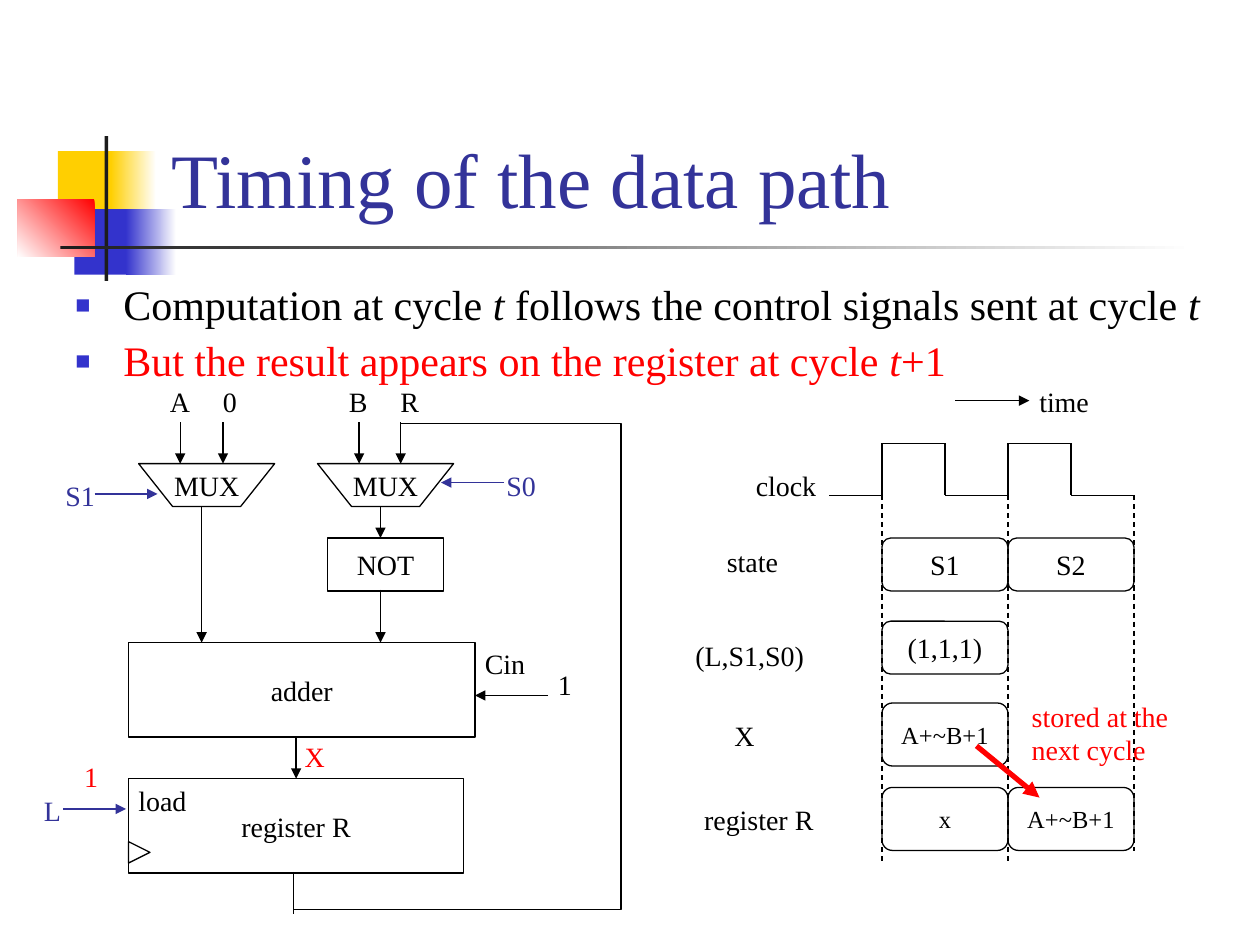
"""Build the slide on the timing of the data path."""
from dataclasses import dataclass

from lxml.etree import SubElement
from pptx import Presentation
from pptx.dml.color import RGBColor
from pptx.enum.dml import MSO_LINE
from pptx.enum.shapes import MSO_CONNECTOR as CONNECTOR, MSO_SHAPE as SHAPE
from pptx.enum.text import MSO_ANCHOR as ANCHOR, MSO_AUTO_SIZE as AUTO_SIZE, PP_ALIGN as ALIGN
from pptx.oxml.ns import qn
from pptx.util import Inches, Pt


@dataclass(frozen=True)
class Theme:
    font: str = "Times New Roman"
    black: RGBColor = RGBColor(0, 0, 0)
    white: RGBColor = RGBColor(255, 255, 255)
    navy: RGBColor = RGBColor(0x33, 0x33, 0x99)
    blue: RGBColor = RGBColor(0x33, 0x33, 0xCC)
    red: RGBColor = RGBColor(255, 0, 0)
    yellow: RGBColor = RGBColor(0xFF, 0xCF, 0x01)
    charcoal: RGBColor = RGBColor(0x1C, 0x1C, 0x1C)
    title: int = 44
    body: int = 24
    label: int = 16
    small: int = 14
    thin: float = 0.75
    thick: float = 3


theme = Theme()
presentation = Presentation()
presentation.slide_width, presentation.slide_height = Inches(10), Inches(7.5)
slide = presentation.slides.add_slide(presentation.slide_layouts[6])
shapes = slide.shapes


def add_run(paragraph, text, size, color, italic=False):
    run = paragraph.add_run()
    run.text = text
    run.font.name, run.font.size, run.font.italic = theme.font, Pt(size), italic
    run.font.color.rgb = color


def add_line(start, end, color=theme.black, width=theme.thin, arrow=True, dash=None,
             kind=CONNECTOR.STRAIGHT):
    connector = shapes.add_connector(kind, *map(Inches, start + end))
    connector.line.color.rgb, connector.line.width = color, Pt(width)
    if dash:
        connector.line.dash_style = dash
    if arrow:
        SubElement(connector.line._get_or_add_ln(), qn("a:tailEnd"), type="triangle")
    SubElement(connector._element.spPr, qn("a:effectLst"))
    return connector


decorations = [
    (0.46, 1.2, 0.48, 0.52, theme.yellow, None),
    (0.88, 1.2, 0.36, 0.52, theme.yellow, 0),
    (0.59, 1.66, 0.46, 0.52, theme.blue, None),
    (1, 1.66, 0.4, 0.52, theme.blue, 0),
    (0.14, 1.58, 0.61, 0.46, theme.red, 225),
    (0.83, 1.08, 0.03, 1.15, theme.charcoal, None),
    (0.48, 1.95, 9, 0.03, theme.charcoal, 0),
]
for left, top, width, height, color, angle in decorations:
    shape = shapes.add_shape(SHAPE.RECTANGLE, *map(Inches, (left, top, width, height)))
    shape.shadow.inherit = False
    shape.line.fill.background()
    if angle is None:
        shape.fill.solid()
        shape.fill.fore_color.rgb = color
    else:
        shape.fill.gradient()
        shape.fill.gradient_angle = angle
        for stop, stop_color in zip(shape.fill.gradient_stops, (color, theme.white)):
            stop.color.rgb = stop_color

title = shapes.add_textbox(Inches(1.26), Inches(0.23), Inches(8.52), Inches(1.6)).text_frame
title.word_wrap, title.vertical_anchor = True, ANCHOR.BOTTOM
add_run(title.paragraphs[0], "Timing of the data path", theme.title, theme.navy)

body = shapes.add_textbox(Inches(0.5), Inches(2.21), Inches(9.29), Inches(0.96)).text_frame
body.word_wrap = True
bullets = [
    (theme.black, ["Computation at cycle ", "t", " follows the control signals sent at cycle ", "t"]),
    (theme.red, ["But the result appears on the register at cycle ", "t", "+1"]),
]
for index, (color, texts) in enumerate(bullets):
    paragraph = body.add_paragraph() if index else body.paragraphs[0]
    paragraph.line_spacing = 0.9
    paragraph.space_before = Pt(6 * index)
    properties = paragraph._p.get_or_add_pPr()
    properties.set("marL", str(Inches(0.38)))
    properties.set("indent", str(Inches(-0.38)))
    bullet_color = SubElement(properties, qn("a:buClr"))
    SubElement(bullet_color, qn("a:srgbClr"), val=str(theme.blue))
    SubElement(properties, qn("a:buSzPct"), val="60000")
    SubElement(properties, qn("a:buFont"), typeface=theme.font)
    SubElement(properties, qn("a:buChar"), char="■")
    for text in texts:
        add_run(paragraph, text, theme.body, color, italic=text == "t")

boxes = []
for left in (1.1, 2.52):
    outline = [(left, 3.68), (left + 1.08, 3.68), (left + 0.81, 4.02), (left + 0.27, 4.02)]
    points = [(Inches(x), Inches(y)) for x, y in outline]
    builder = shapes.build_freeform(*points[0])
    builder.add_line_segments(points[1:], close=True)
    boxes.append((builder.convert_to_shape(), "MUX", theme.label))

blocks = [
    (SHAPE.RECTANGLE, 2.6, 4.27, 0.92, 0.42, "NOT", theme.label),
    (SHAPE.RECTANGLE, 1.02, 5.1, 2.75, 0.75, "adder", theme.label),
    (SHAPE.ROUNDED_RECTANGLE, 7, 4.27, 1, 0.42, "S1", theme.label),
    (SHAPE.ROUNDED_RECTANGLE, 8, 4.27, 1, 0.42, "S2", theme.label),
    (SHAPE.ROUNDED_RECTANGLE, 7, 4.93, 1, 0.42, "(1,1,1)", theme.label),
    (SHAPE.ROUNDED_RECTANGLE, 7, 5.58, 1, 0.5, "A+~B+1", theme.small),
    (SHAPE.ROUNDED_RECTANGLE, 7, 6.25, 1, 0.5, "x", theme.small),
    (SHAPE.ROUNDED_RECTANGLE, 8, 6.25, 1, 0.5, "A+~B+1", theme.small),
    (SHAPE.ISOSCELES_TRIANGLE, 1.02, 6.68, 0.17, 0.17, "", theme.label),
    (SHAPE.RECTANGLE, 1.02, 6.18, 2.66, 0.75, "register R", theme.label),
]
for kind, left, top, width, height, text, size in blocks:
    block = shapes.add_shape(kind, *map(Inches, (left, top, width, height)))
    block.rotation = 90 if kind == SHAPE.ISOSCELES_TRIANGLE else 0
    boxes.append((block, text, size))
register = boxes[-1][0]

for box, text, size in boxes:
    box.shadow.inherit = False
    box.fill.background()
    box.line.color.rgb, box.line.width = theme.black, Pt(theme.thin)
    frame = box.text_frame
    frame.word_wrap, frame.vertical_anchor = False, ANCHOR.MIDDLE
    frame.paragraphs[0].alignment = ALIGN.CENTER
    if text:
        add_run(frame.paragraphs[0], text, size, theme.black)

for x, top, bottom in [(1.43, 3.35, 3.68), (1.77, 3.35, 3.68), (2.85, 3.35, 3.68),
                       (3.18, 3.35, 3.68), (1.6, 4.02, 5.1), (3.02, 4.02, 4.27),
                       (3.02, 4.68, 5.1)]:
    add_line((x, top), (x, bottom))
add_line((2.35, 5.85), (2.35, 6.18)).end_connect(register, 0)
add_line((4.35, 5.52), (3.77, 5.52))
add_line((7.58, 3.18), (8.17, 3.18))
for start, end, y in [(0.5, 1, 6.42), (0.75, 1.25, 3.92), (4, 3.5, 3.83)]:
    add_line((start, y), (end, y), theme.navy)

add_line((2.33, 6.92), (2.33, 7.25), arrow=False)
feedback = add_line((3.18, 3.36), (2.33, 7.22), arrow=False, kind=CONNECTOR.ELBOW)
adjustments = feedback._element.spPr.find(qn("a:prstGeom")).get_or_add_avLst()
bend = round((3.18 - 4.93) / (3.18 - 2.33) * 100000)
SubElement(adjustments, qn("a:gd"), name="adj1", fmla=f"val {bend}")

low, high = 3.93, 3.52
clock = [(6.58, low)]
for rise in (7, 8):
    clock += [(rise, low), (rise, high), (rise + 0.5, high), (rise + 0.5, low)]
clock.append((9, low))
for start, end in zip(clock, clock[1:]):
    add_line(start, end, arrow=False)
for x, bottom in [(7, 6.83), (8, 6.83), (9, 6.75)]:
    add_line((x, low), (x, bottom), arrow=False, dash=MSO_LINE.DASH)

labels = [
    ("A", 1.25, 3, 0.4, theme.black), ("0", 1.67, 3, 0.35, theme.black),
    ("B", 2.67, 3, 0.4, theme.black), ("R", 3.08, 3, 0.4, theme.black),
    ("Cin", 3.75, 5.08, 0.57, theme.black), ("1", 4.33, 5.25, 0.35, theme.black),
    ("load", 1, 6.17, 0.63, theme.black), ("L", 0.25, 6.25, 0.38, theme.navy),
    ("S1", 0.42, 3.75, 0.48, theme.navy), ("S0", 3.92, 3.67, 0.48, theme.navy),
    ("X", 2.32, 5.82, 0.4, theme.red), ("1", 0.57, 5.98, 0.35, theme.red),
    ("time", 8.15, 3, 0.65, theme.black), ("clock", 5.9, 3.67, 0.73, theme.black),
    ("state", 5.67, 4.27, 0.65, theme.black), ("(L,S1,S0)", 5.42, 5.02, 1.11, theme.black),
    ("X", 5.73, 5.65, 0.4, theme.black), ("register R", 5.49, 6.32, 1.12, theme.black),
    ("stored at the\nnext cycle", 8.09, 5.5, 1.33, theme.red),
]
for text, left, top, width, color in labels:
    lines = text.split("\n")
    height = 0.1 + 0.27 * len(lines)
    frame = shapes.add_textbox(*map(Inches, (left, top, width, height))).text_frame
    frame.word_wrap, frame.auto_size = False, AUTO_SIZE.SHAPE_TO_FIT_TEXT
    for index, line in enumerate(lines):
        paragraph = frame.add_paragraph() if index else frame.paragraphs[0]
        add_run(paragraph, line, theme.label, color)

add_line((7.75, 5.92), (8.25, 6.33), theme.red, theme.thick)

presentation.save("out.pptx")
